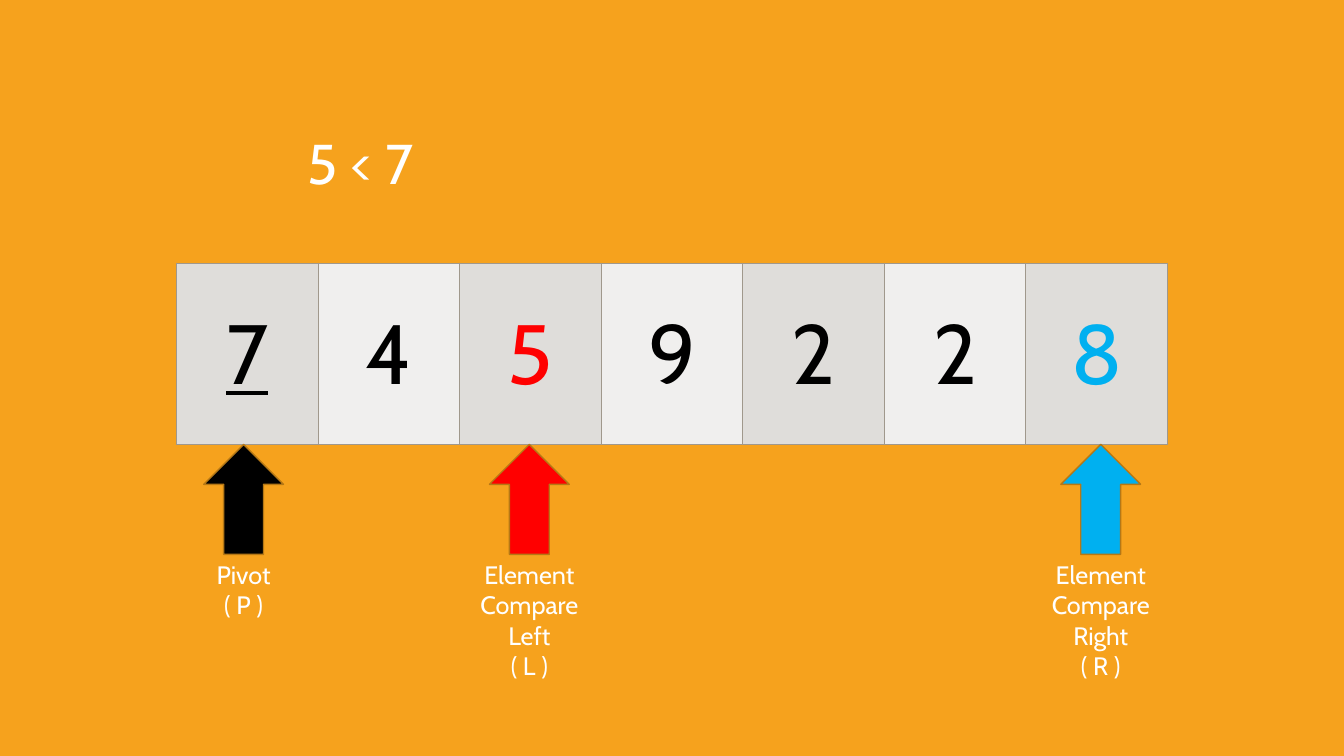
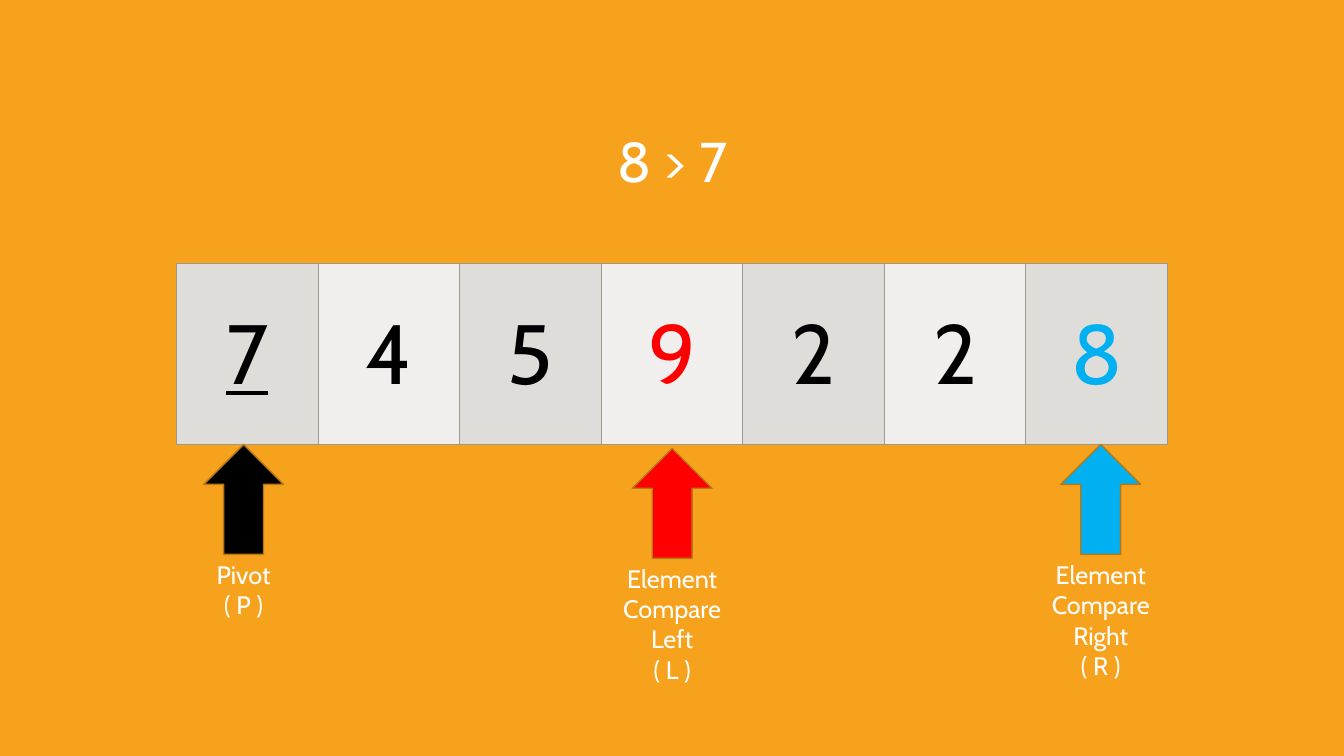
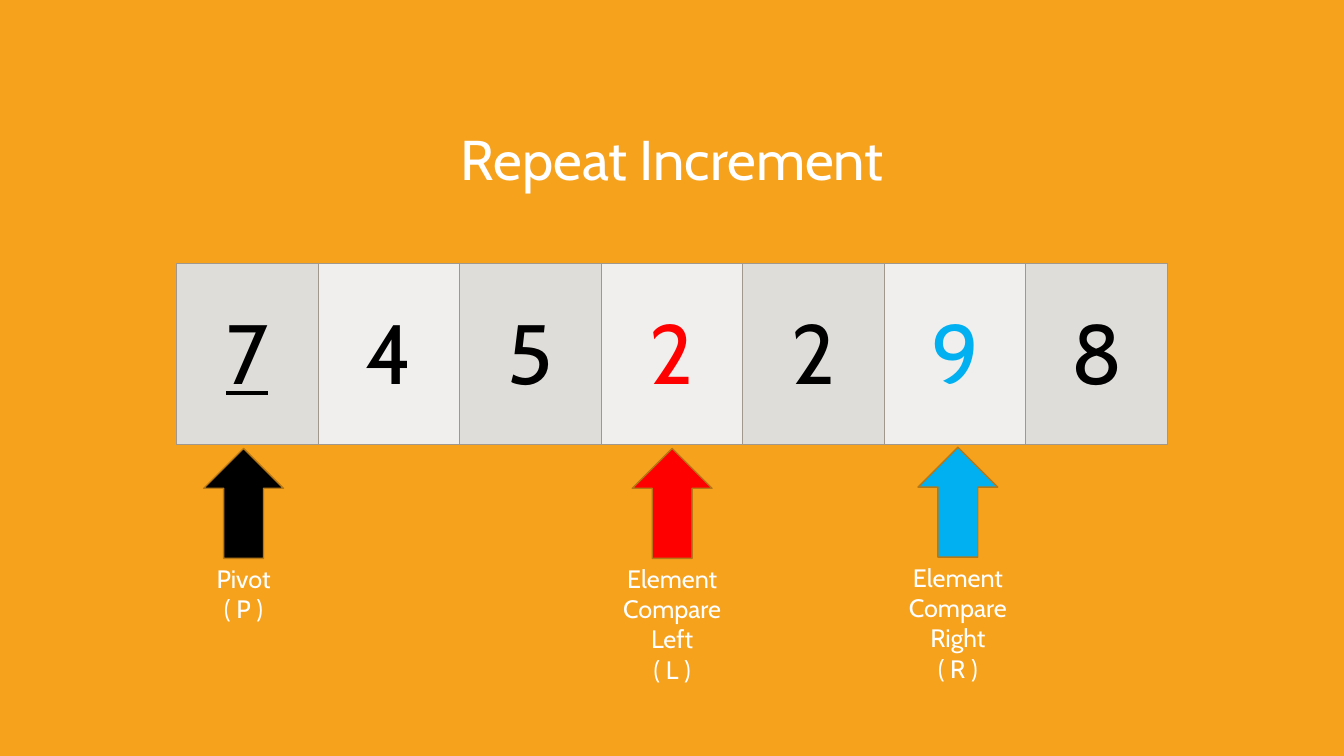
from dataclasses import dataclass

from lxml import etree
from pptx import Presentation
from pptx.dml.color import RGBColor
from pptx.enum.shapes import MSO_SHAPE
from pptx.enum.text import MSO_ANCHOR, MSO_AUTO_SIZE, PP_ALIGN
from pptx.oxml.ns import qn
from pptx.util import Cm, Pt

# Shared style
FONT = "Cabin"
ORANGE = RGBColor(0xF6, 0xA2, 0x1D)
ARROW_EDGE = RGBColor(0xB6, 0x78, 0x15)
CELL_EDGE = RGBColor(0xA0, 0x98, 0x8C)
CELL_FILLS = (RGBColor(0xDF, 0xDD, 0xDA), RGBColor(0xF0, 0xEF, 0xEE))
WHITE = RGBColor(0xFF, 0xFF, 0xFF)
BLACK = RGBColor(0, 0, 0)
RED = RGBColor(0xFF, 0, 0)
BLUE = RGBColor(0, 0xB0, 0xF0)

LEFT, CENTER = PP_ALIGN.LEFT, PP_ALIGN.CENTER
TOP, MIDDLE = MSO_ANCHOR.TOP, MSO_ANCHOR.MIDDLE
NO_AUTOFIT = MSO_AUTO_SIZE.NONE
UP_ARROW = MSO_SHAPE.UP_ARROW
TITLE_ONLY = 5

# Pointer geometry
FIRST_POINTER, POINTER_STEP = Cm(6.14), Cm(3.6)
ARROW_WIDTH, ARROW_HEIGHT = Cm(2.01), Cm(2.77)


@dataclass(frozen=True)
class Role:
    """What a pointer marks: its caption, symbol, colour and caption size."""
    caption: str
    symbol: str
    color: RGBColor
    width: int
    height: int


LEFT_ROLE = Role("Element Compare Left", "( L )", RED, Cm(4.14), Cm(2.57))
PIVOT_ROLE = Role("Pivot", "( P )", BLACK, Cm(4.14), Cm(1.8))
RIGHT_ROLE = Role("Element Compare Right", "( R )", BLUE, Cm(4.45), Cm(2.57))

# Heading, its alignment and top, values, and (role, index, arrow top)
STEPS = (
    ("5 < 7", LEFT, Cm(3.12), "7459228",
     ((LEFT_ROLE, 2, Cm(11.2)), (PIVOT_ROLE, 0, Cm(11.2)),
      (RIGHT_ROLE, 6, Cm(11.2)))),
    ("8 > 7", CENTER, Cm(3.05), "7459228",
     ((LEFT_ROLE, 3, Cm(11.3)), (PIVOT_ROLE, 0, Cm(11.2)),
      (RIGHT_ROLE, 6, Cm(11.2)))),
    ("Repeat Increment", CENTER, Cm(3.02), "7452298",
     ((LEFT_ROLE, 3, Cm(11.3)), (PIVOT_ROLE, 0, Cm(11.3)),
      (RIGHT_ROLE, 5, Cm(11.27)))),
)


def write(paragraph, text, size, color, align=CENTER, underline=False):
    paragraph.alignment = align
    run = paragraph.add_run()
    run.text = text
    run.font.name = FONT
    run.font.size = Pt(size)
    run.font.color.rgb = color
    run.font.underline = underline


def add_heading(slide, text, align, top):
    heading = slide.shapes.title
    heading.left, heading.top = Cm(7.49), top
    heading.width, heading.height = Cm(18.9), Cm(3.5)
    frame = heading.text_frame
    frame.auto_size = NO_AUTOFIT
    frame.vertical_anchor = TOP
    write(frame.paragraphs[0], text, 40, WHITE, align)


def outline_cell(cell):
    properties = cell._tc.get_or_add_tcPr()
    for side in ("a:lnL", "a:lnR", "a:lnT", "a:lnB"):
        border = etree.SubElement(properties, qn(side), w=str(Pt(1)))
        fill = etree.SubElement(border, qn("a:solidFill"))
        etree.SubElement(fill, qn("a:srgbClr"), val=str(CELL_EDGE))


def add_array(slide, values, colors):
    """Draw the values as one row; the pivot at index 0 is underlined."""
    width = Cm(24.97)
    array = slide.shapes.add_table(1, len(values), Cm(4.45), Cm(6.64),
                                   width, Cm(4.57)).table
    array.first_row = array.horz_banding = False
    for index, value in enumerate(values):
        array.columns[index].width = width // len(values)
        cell = array.cell(0, index)
        outline_cell(cell)
        cell.fill.solid()
        cell.fill.fore_color.rgb = CELL_FILLS[index % 2]
        cell.vertical_anchor = MIDDLE
        write(cell.text_frame.paragraphs[0], value, 60,
              colors.get(index, BLACK), underline=index == 0)


def add_pointer(slide, role, index, top):
    """Group an arrow under the array with its caption."""
    pointer = slide.shapes.add_group_shape()
    center = FIRST_POINTER + index * POINTER_STEP

    arrow = pointer.shapes.add_shape(UP_ARROW, center - ARROW_WIDTH // 2, top,
                                     ARROW_WIDTH, ARROW_HEIGHT)
    arrow.shadow.inherit = False
    arrow.fill.solid()
    arrow.fill.fore_color.rgb = role.color
    arrow.line.color.rgb = ARROW_EDGE
    arrow.line.width = Pt(1)

    caption = pointer.shapes.add_textbox(center - role.width // 2,
                                         top + ARROW_HEIGHT,
                                         role.width, role.height)
    frame = caption.text_frame
    frame.word_wrap = True
    write(frame.paragraphs[0], role.caption, 18, WHITE)
    write(frame.add_paragraph(), role.symbol, 18, WHITE)


def main():
    prs = Presentation()
    prs.slide_width, prs.slide_height = Cm(33.87), Cm(19.05)
    background = prs.slide_master.background.fill
    background.solid()
    background.fore_color.rgb = ORANGE

    for heading, align, heading_top, values, pointers in STEPS:
        slide = prs.slides.add_slide(prs.slide_layouts[TITLE_ONLY])
        add_heading(slide, heading, align, heading_top)
        add_array(slide, values,
                  {index: role.color for role, index, _ in pointers})
        for role, index, top in pointers:
            add_pointer(slide, role, index, top)

    prs.save("out.pptx")


main()
